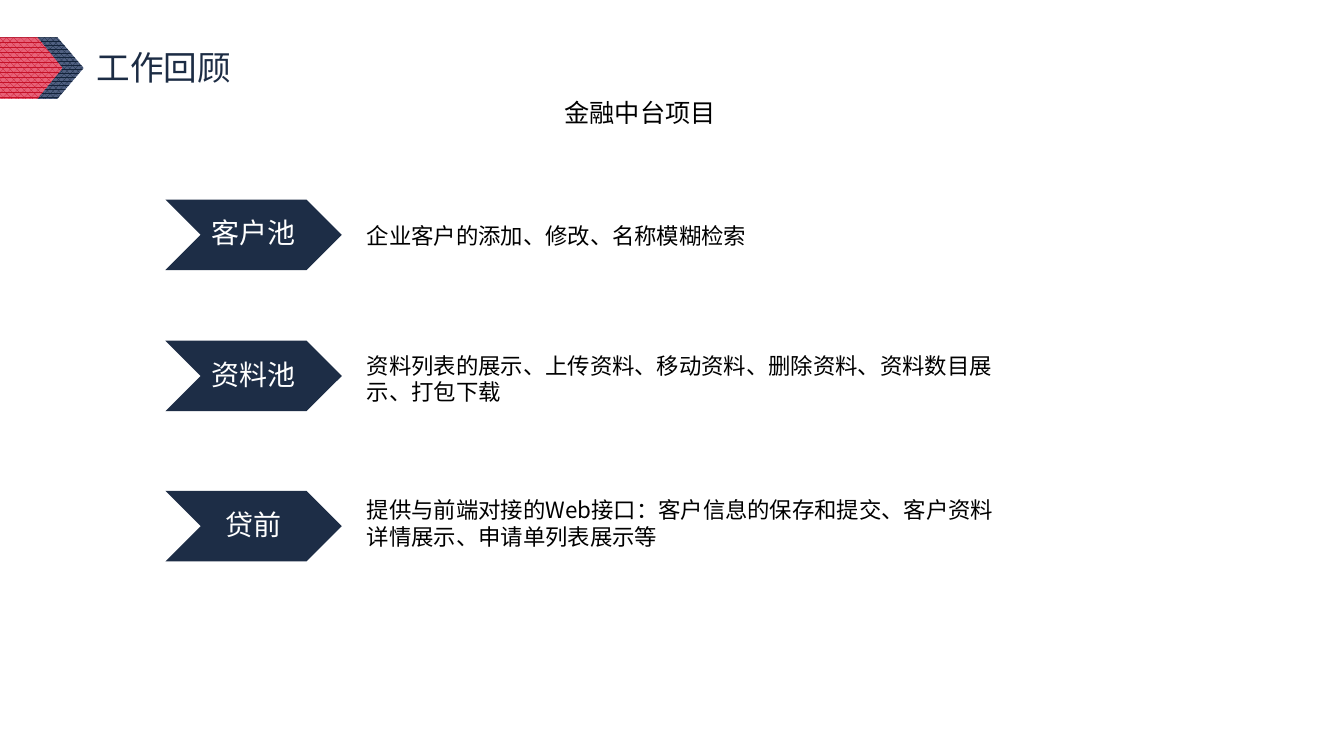
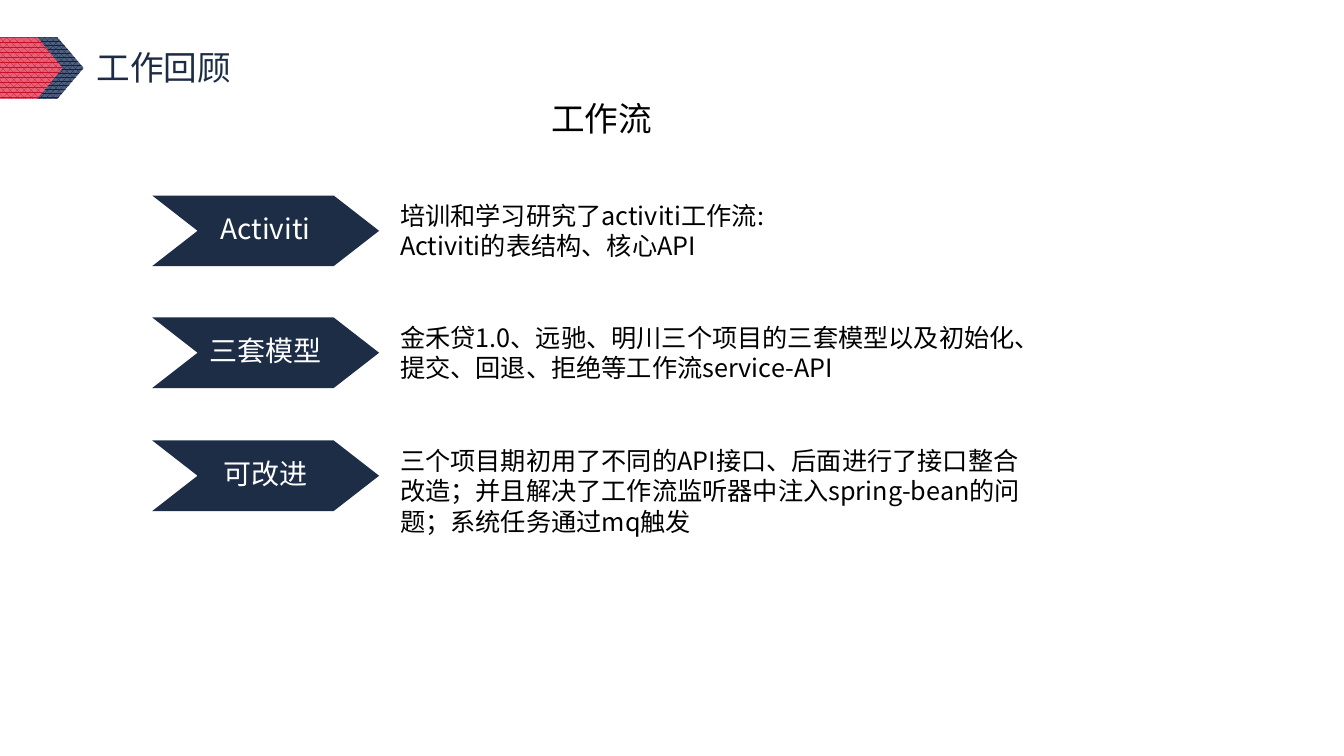
import pptx
import pptx.dml.color
import pptx.enum.dml
import pptx.enum.shapes
import pptx.enum.text
import pptx.oxml.ns
import pptx.util
import lxml.etree

PX = 9144
FONT = "Noto Sans CJK SC"
COLORS = {
    "title": "1C2C44",
    "chevron": "1D2D46",
    "text": "000000",
    "label": "FFFFFF",
    "navy_dark": "13233B",
    "navy_light": "506081",
    "red_dark": "C61027",
    "red_light": "E76278",
}
SHAPES = pptx.enum.shapes.MSO_SHAPE
PATTERNS = pptx.enum.dml.MSO_PATTERN
ANCHORS = pptx.enum.text.MSO_ANCHOR
ALIGNS = pptx.enum.text.PP_ALIGN


def color(name):
    return pptx.dml.color.RGBColor.from_string(COLORS[name])


def write(frame, text, size=18, ink="text", align=ALIGNS.LEFT,
          anchor=ANCHORS.TOP, spacing=1.0, wrap=True, margins=None):
    frame.word_wrap = wrap
    frame.auto_size = pptx.enum.text.MSO_AUTO_SIZE.NONE
    frame.vertical_anchor = anchor
    if margins is not None:
        frame.margin_left = frame.margin_right = margins * PX
        frame.margin_top = frame.margin_bottom = margins * PX
    for index, line in enumerate(text.split("\n")):
        para = frame.add_paragraph() if index else frame.paragraphs[0]
        para.alignment = align
        para.line_spacing = spacing
        span = para.add_run()
        span.text = line
        span.font.name = FONT
        span.font.size = pptx.util.Pt(size)
        span.font.color.rgb = color(ink)
        east_asian = lxml.etree.SubElement(
            span.font._element, pptx.oxml.ns.qn("a:ea"))
        east_asian.set("typeface", FONT)


class Slides:
    def __init__(self):
        self.deck = pptx.Presentation()
        self.deck.slide_width = 1333 * PX
        self.deck.slide_height = 750 * PX
        self.layout = self.deck.slide_layouts[5]
        self.page = None
        self.has_banner = False

    def start(self, title):
        self.page = self.deck.slides.add_slide(self.layout)
        if not self.has_banner:
            self.banner(83, 26, PATTERNS.PERCENT_75, "navy")
            self.banner(62, 25, PATTERNS.PERCENT_70, "red")
            self.has_banner = True
        box = self.page.shapes.title
        box.left, box.top, box.width, box.height = (
            length * PX for length in (86, 42, 400, 50))
        write(box.text_frame, title, size=24, ink="title")

    def shape(self, kind, left, top, width, height, point):
        shape = self.page.shapes.add_shape(
            kind, left * PX, top * PX, width * PX, height * PX)
        shape.adjustments[0] = point / height
        shape.shadow.inherit = False
        shape.line.fill.background()
        return shape

    def banner(self, width, point, pattern, hue):
        shape = self.shape(SHAPES.PENTAGON, 0, 37, width, 61, point)
        shape.fill.patterned()
        shape.fill.pattern = pattern
        shape.fill.fore_color.rgb = color(hue + "_dark")
        shape.fill.back_color.rgb = color(hue + "_light")
        self.layout.shapes.element.append(shape.element)

    def chevron(self, text, left, top, width, point):
        shape = self.shape(SHAPES.CHEVRON, left, top, width, 70, point)
        shape.fill.solid()
        shape.fill.fore_color.rgb = color("chevron")
        write(shape.text_frame, text, size=20, ink="label", spacing=0.9,
              align=ALIGNS.CENTER, anchor=ANCHORS.MIDDLE, margins=1)

    def text(self, text, left, top, width, height, **style):
        box = self.page.shapes.add_textbox(
            left * PX, top * PX, width * PX, height * PX)
        write(box.text_frame, text, **style)

    def rows(self, rows, left, width, point, text_left, size):
        for label, top, text, text_top, height in rows:
            self.chevron(label, left, top, width, point)
            self.text(text, text_left, text_top, 657, height, size=size)


def main():
    slides = Slides()

    slides.start("工作回顾")
    slides.text("金融中台项目", 550, 92, 172, 40, wrap=False)
    slides.rows([
        ("客户池", 198, "企业客户的添加、修改、名称模糊检索", 215, 37),
        ("资料池", 338,
         "资料列表的展示、上传资料、移动资料、删除资料、资料数目展示、打包下载",
         344, 64),
        ("贷前", 487,
         "提供与前端对接的Web接口：客户信息的保存和提交、客户资料详情展示、申请单列表展示等",
         487, 64),
    ], left=164, width=175, point=35, text_left=354, size=16)

    slides.start("工作回顾")
    slides.text("工作流", 537, 92, 121, 50, size=24, wrap=False)
    slides.rows([
        ("Activiti", 194,
         "培训和学习研究了activiti工作流:\nActiviti的表结构、核心API", 194, 71),
        ("三套模型", 315,
         "金禾贷1.0、远驰、明川三个项目的三套模型以及初始化、提交、回退、拒绝等工作流service-API",
         315, 71),
        ("可改进", 437,
         "三个项目期初用了不同的API接口、后面进行了接口整合改造；并且解决了工作流监听器中注入spring-bean的问题；系统任务通过mq触发",
         437, 101),
    ], left=151, width=225, point=45, text_left=387, size=18)

    slides.deck.save("out.pptx")


if __name__ == "__main__":
    main()
